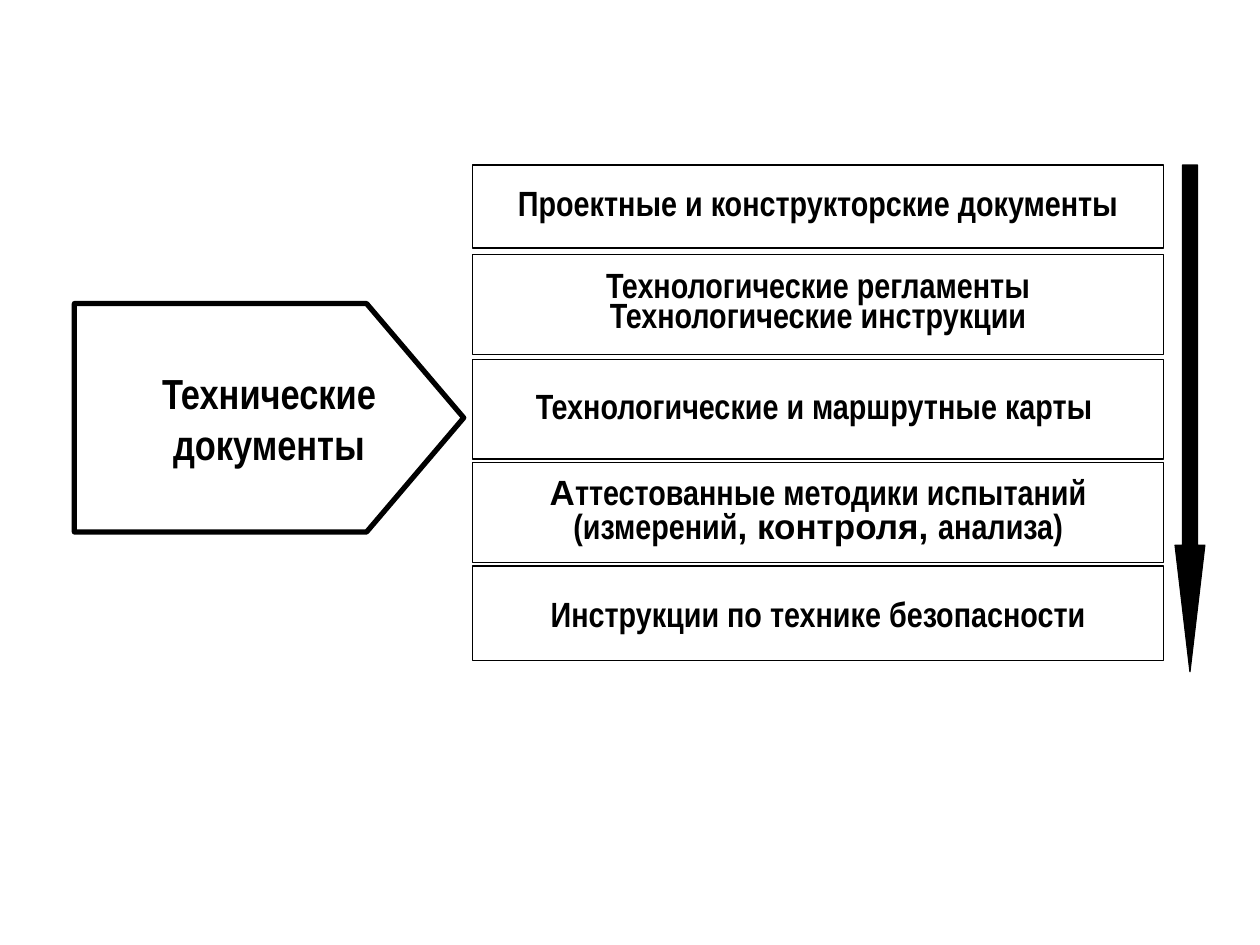
from pptx import Presentation
from pptx.dml.color import RGBColor
from pptx.enum.shapes import MSO_SHAPE as Shape
from pptx.enum.text import MSO_ANCHOR as Anchor, PP_ALIGN as Align
from pptx.util import Pt

BLACK = RGBColor(0, 0, 0)
WHITE = RGBColor(255, 255, 255)
NARROW, WIDE = "Arial Narrow", "Arial"


def style(shape, fill=WHITE, line_width=0.75):
    shape.shadow.inherit = False
    shape.fill.solid()
    shape.fill.fore_color.rgb = fill
    shape.line.color.rgb = BLACK
    shape.line.width = Pt(line_width)


def write(shape, paragraphs, size=20, spacing=1.0):
    """Fill a shape with paragraphs, each a list of (text, font name) runs."""
    frame = shape.text_frame
    frame.word_wrap = True
    frame.vertical_anchor = Anchor.MIDDLE
    for i, runs in enumerate(paragraphs):
        paragraph = frame.add_paragraph() if i else frame.paragraphs[0]
        paragraph.alignment = Align.CENTER
        paragraph.line_spacing = spacing
        for text, font_name in runs:
            run = paragraph.add_run()
            run.text = text
            run.font.name = font_name
            run.font.size = Pt(size)
            run.font.bold = True
            run.font.color.rgb = BLACK


prs = Presentation()
prs.slide_width, prs.slide_height = Pt(720), Pt(540)
slide = prs.slides.add_slide(prs.slide_layouts[6])
shapes = slide.shapes

# Category pentagon pointing at the list
left, shoulder, tip = 42.5, 209.5, 265
top, bottom = 173.5, 304
outline = shapes.build_freeform(Pt(left), Pt(top))
outline.add_line_segments([
    (Pt(shoulder), Pt(top)),
    (Pt(tip), Pt((top + bottom) / 2)),
    (Pt(shoulder), Pt(bottom)),
    (Pt(left), Pt(bottom)),
])
category = outline.convert_to_shape()
style(category, line_width=3)
write(category, [[("Технические", NARROW)], [("документы", NARROW)]],
      size=24, spacing=Pt(29))

# Document kinds: top, height, line spacing, paragraphs
documents = [
    (94.3, 47.5, 0.8, [[("Проектные и конструкторские документы", NARROW)]]),
    (145.5, 57, 0.7, [[("Технологические регламенты", NARROW)],
                      [("Технологические инструкции", NARROW)]]),
    (205.3, 57, 0.8, [[("Технологические и маршрутные карты ", NARROW)]]),
    (264.3, 57, 0.8, [[("А", WIDE),
                       ("ттестованные методики испытаний (измерений", NARROW),
                       (", контроля, ", WIDE),
                       ("анализа)", NARROW)]]),
    (323.5, 54, 1.0, [[("Инструкции по технике безопасности", NARROW)]]),
]
for row_top, height, spacing, paragraphs in documents:
    document = shapes.add_shape(Shape.RECTANGLE, Pt(270), Pt(row_top),
                                Pt(395), Pt(height))
    style(document)
    write(document, paragraphs, spacing=spacing)

# Downward arrow beside the list
order_arrow = shapes.add_shape(Shape.DOWN_ARROW, Pt(671.5), Pt(94.3),
                               Pt(17), Pt(289.5))
order_arrow.adjustments[0] = 0.5
order_arrow.adjustments[1] = 4.25
style(order_arrow, fill=BLACK)

prs.save("out.pptx")
